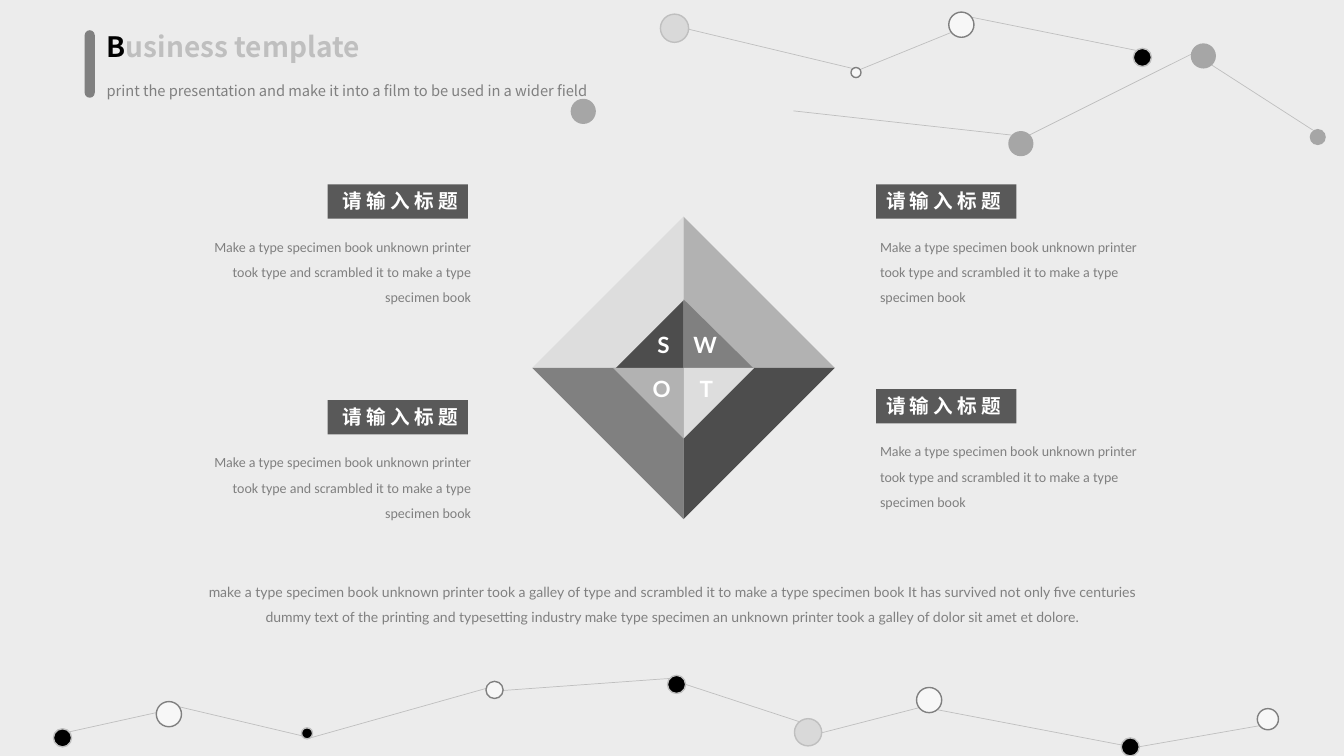
import pptx
import pptx.util
import pptx.dml.color
import pptx.enum.shapes
import pptx.enum.text
import pptx.oxml.ns
from lxml import etree

Inches = pptx.util.Inches
Pt = pptx.util.Pt
Kind = pptx.enum.shapes.MSO_SHAPE
Align = pptx.enum.text.PP_ALIGN
Anchor = pptx.enum.text.MSO_ANCHOR

HUES = {
    "page": "ECECEC", "black": "000000", "white": "FFFFFF", "snow": "F7F7F7",
    "pale": "D9D9D9", "rule": "BFBFBF", "ash": "A6A6A6", "gray": "808080",
    "label": "595959", "light": "DDDDDD", "mid": "B2B2B2", "dark": "4D4D4D",
}
RGB = {name: pptx.dml.color.RGBColor.from_string(code) for name, code in HUES.items()}

deck = pptx.Presentation()
deck.slide_width, deck.slide_height = Inches(13.33), Inches(7.5)
slide = deck.slides.add_slide(deck.slide_layouts[5])
slide.background.fill.solid()
slide.background.fill.fore_color.rgb = RGB["page"]
shapes = slide.shapes


def draw(kind, box, fill, edge=None):
    shape = shapes.add_shape(kind, *map(Inches, box))
    shape.shadow.inherit = False
    shape.fill.solid()
    shape.fill.fore_color.rgb = RGB[fill]
    if edge:
        shape.line.color.rgb = RGB[edge]
        shape.line.width = Pt(1)
    else:
        shape.line.fill.background()
    return shape


def write(shape, runs, font, size, bold=False, align=Align.LEFT, space=None, top=0.05):
    frame = shape.text_frame
    frame.word_wrap = True
    frame.auto_size = pptx.enum.text.MSO_AUTO_SIZE.NONE
    frame.margin_left = frame.margin_right = Inches(0.1)
    frame.margin_top, frame.margin_bottom = Inches(top), Inches(0.05)
    frame.vertical_anchor = Anchor.TOP
    para = frame.paragraphs[0]
    para.alignment = align
    para.line_spacing = space
    for text, hue in runs:
        run = para.add_run()
        run.text = text
        run.font.name, run.font.size, run.font.bold = font, Pt(size), bold
        run.font.color.rgb = RGB[hue]
    return para


# Network lines: x1, y1, x2, y2
links = [
    (0.69, 7.26, 1.55, 7.07), (1.77, 7.01, 3.08, 7.32), (3.08, 7.32, 4.82, 6.83),
    (4.99, 6.85, 6.65, 6.73), (7.93, 7.16, 6.8, 6.79), (8.15, 7.27, 9.12, 7.02),
    (9.29, 7.04, 11.12, 7.39), (12.49, 7.2, 11.29, 7.41), (8.46, 0.68, 6.83, 0.29),
    (9.44, 0.32, 8.53, 0.69), (9.63, 0.17, 11.27, 0.5), (7.87, 1.1, 10.03, 1.34),
    (10.21, 1.34, 11.81, 0.54), (13.02, 1.29, 12.01, 0.64),
]
for ends in links:
    link = shapes.add_connector(pptx.enum.shapes.MSO_CONNECTOR.STRAIGHT, *map(Inches, ends))
    link.line.color.rgb = RGB["rule"]
    link.line.width = Pt(0.5)
    etree.SubElement(link._element.spPr, pptx.oxml.ns.qn("a:effectLst"))

# Network dots by style: left, top, diameter
dots = {
    ("black", "rule"): [(0.53, 7.23, 0.18), (2.99, 7.22, 0.11), (6.62, 6.7, 0.18),
                        (11.12, 7.32, 0.18), (11.24, 0.48, 0.18)],
    ("snow", "gray"): [(1.55, 6.96, 0.25), (4.82, 6.76, 0.17), (9.09, 6.82, 0.25),
                       (12.47, 7.03, 0.21), (8.44, 0.67, 0.1), (9.41, 0.12, 0.25)],
    ("pale", "rule"): [(7.88, 7.13, 0.27), (6.55, 0.14, 0.28)],
    ("ash", None): [(5.66, 0.98, 0.25), (10, 1.3, 0.25), (11.81, 0.43, 0.25),
                    (12.99, 1.28, 0.16)],
}
for (fill, edge), spots in dots.items():
    for left, top, size in spots:
        draw(Kind.OVAL, (left, top, size, size), fill, edge)

# Heading
title = shapes.title
title.left, title.top = Inches(0.96), Inches(0.24)
title.width, title.height = Inches(3.6), Inches(0.44)
write(title, [("B", "black"), ("usiness template", "rule")], "Noto Sans CJK SC", 20, True)
tag = shapes.add_textbox(*map(Inches, (0.96, 0.73, 5.34, 0.3)))
write(tag, [("print the presentation and make it into a film to be used in a wider field", "gray")],
      "Noto Sans CJK SC", 10.5, space=1.2)
bar = draw(Kind.ROUNDED_RECTANGLE, (0.84, 0.3, 0.1, 0.67), "gray")
bar.adjustments[0] = 0.5

# Diamonds: four right triangles around one centre, outer then inner
MID_X, MID_Y = 6.78, 3.65
rings = [
    [(1.5, 1.5, "light"), (1.5, 1.5, "mid"), (1.5, 1.5, "gray"), (1.5, 1.5, "dark")],
    [(0.67, 0.67, "dark"), (0.69, 0.68, "gray"), (0.7, 0.7, "mid"), (0.7, 0.7, "light")],
]
for ring in rings:
    for spot, (wide, high, fill) in enumerate(ring):
        low, right = divmod(spot, 2)
        left = MID_X if right else MID_X - wide
        top = MID_Y if low else MID_Y - high
        part = draw(Kind.RIGHT_TRIANGLE, (left, top, wide, high), fill)
        part.rotation = 180 * low
        if low == right:
            part._element.spPr.get_or_add_xfrm().set("flipH", "1")

# SWOT letters
for mark, left, top in [("S", 6.18, 3.24), ("W", 6.65, 3.24), ("O", 6.19, 3.67), ("T", 6.61, 3.67)]:
    note = shapes.add_textbox(*map(Inches, (left, top, 0.56, 0.37)))
    write(note, [(mark, "white")], "Lato", 16, True, Align.RIGHT)

# Four labelled notes: text left, label left, label top, alignment
BODY = ("Make a type specimen book unknown printer took type and scrambled it "
        "to make a type specimen book")
notes = [
    (1.77, 3.25, 1.83, Align.RIGHT), (1.77, 3.25, 3.97, Align.RIGHT),
    (8.63, 8.69, 1.83, Align.LEFT), (8.63, 8.69, 3.86, Align.LEFT),
]
for left, edge, top, align in notes:
    note = shapes.add_textbox(*map(Inches, (left, top + 0.15, 3, 1.34)))
    write(note, [(BODY, "gray")], "Calibri", 10, align=align, space=1.5, top=0.3)
    label = draw(Kind.RECTANGLE, (edge, top, 1.39, 0.34), "label")
    para = write(label, [("请输入标题", "white")], "Arial", 14, True, align)
    para.runs[0].font._element.set("spc", "300")

# Summary
foot = shapes.add_textbox(*map(Inches, (1.74, 5.43, 9.85, 1.53)))
write(foot, [("make a type specimen book unknown printer took a galley of type and scrambled it "
              "to make a type specimen book It has survived not only five centuries dummy text "
              "of the printing and typesetting industry make type specimen an unknown printer "
              "took a galley of dolor sit amet et dolore.", "gray")],
      "Lato", 10, align=Align.CENTER, space=Pt(17.3), top=0.29)

deck.save("out.pptx")
